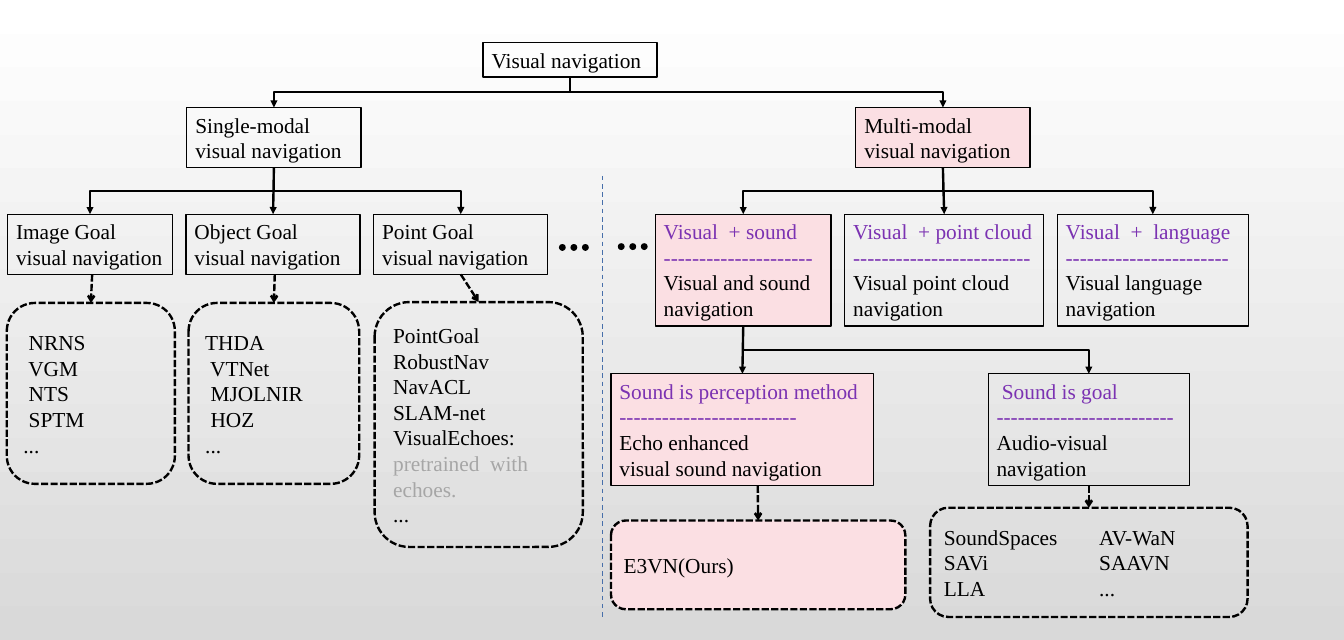
from lxml import etree
from pptx import Presentation
from pptx.dml.color import RGBColor
from pptx.enum.dml import MSO_LINE
from pptx.enum.shapes import MSO_CONNECTOR, MSO_SHAPE
from pptx.enum.text import MSO_ANCHOR, MSO_AUTO_SIZE, PP_ALIGN
from pptx.oxml.ns import qn
from pptx.util import Inches, Pt

RECTANGLE, ROUNDED, OVAL = MSO_SHAPE.RECTANGLE, MSO_SHAPE.ROUNDED_RECTANGLE, MSO_SHAPE.OVAL
STRAIGHT, ELBOW = MSO_CONNECTOR.STRAIGHT, MSO_CONNECTOR.ELBOW
SHORT_DASH, DASH = MSO_LINE.SQUARE_DOT, MSO_LINE.DASH
TOP, MIDDLE, LEFT = MSO_ANCHOR.TOP, MSO_ANCHOR.MIDDLE, PP_ALIGN.LEFT
NO_AUTOFIT = MSO_AUTO_SIZE.NONE

THEME = {
    "font": "Times New Roman", "size": 18, "thin": 1, "thick": 2,
    "ink": "000000", "heading": "7B32B2", "muted": "A6A6A6",
    "highlight": "FBDFE3", "divider": "476FAA",
    "background": ("FFFFFF", "D9D9D9"),
}

SLIDE_WIDTH, SLIDE_HEIGHT = 15.75, 7.5
ROW_TOPS = (0.5, 1.26, 2.51, 4.38)
LINE_HEIGHT, BOX_PADDING = 0.303, 0.1
HEADED_LINES = 4
TAB_STOP = 1.82
DIVIDER = (7.06, 2.06, 7.26)
DOT_SIZE, DOT_PITCH, DOTS_PER_GROUP = 0.08, 0.135, 3
DOT_GROUPS = ((6.55, 2.86), (7.24, 2.85))

# name: (row, left, width, highlighted, heading, rule length, body lines)
TOPICS = {
    "root": (0, 5.66, 2.04, False, None, 0, ["Visual navigation"]),
    "single": (1, 2.19, 2.04, False, None, 0, ["Single-modal", "visual navigation"]),
    "multi": (1, 10.03, 2.04, True, None, 0, ["Multi-modal", "visual navigation"]),
    "image": (2, 0.09, 1.93, False, None, 0, ["Image Goal", "visual navigation"]),
    "object": (2, 2.18, 2.04, False, None, 0, ["Object Goal", "visual navigation"]),
    "point": (2, 4.38, 2.04, False, None, 0, ["Point Goal", "visual navigation"]),
    "sound": (2, 7.68, 2.06, True, "Visual  + sound", 21, ["Visual and sound navigation"]),
    "cloud": (2, 9.9, 2.33, False, "Visual  + point cloud", 25, ["Visual point cloud navigation"]),
    "language": (2, 12.39, 2.24, False, "Visual  +  language", 23, ["Visual language navigation"]),
    "perception": (3, 7.16, 3.08, True, "Sound is perception method", 25,
                   ["Echo enhanced", "visual sound navigation"]),
    "goal": (3, 11.58, 2.36, False, " Sound is goal", 25, ["Audio-visual navigation"]),
}

BRANCHES = {
    "root": ("single", "multi"),
    "single": ("image", "object", "point"),
    "multi": ("sound", "cloud", "language"),
    "sound": ("perception", "goal"),
}

# parent: (left, top, width, height, highlighted, arrow start, lines)
METHODS = {
    "image": (0.08, 3.55, 1.97, 2.12, False, 1.08, [" NRNS", " VGM", " NTS", " SPTM", "..."]),
    "object": (2.21, 3.55, 2, 2.12, False, 3.22, ["THDA", " VTNet", " MJOLNIR", " HOZ", "..."]),
    "point": (4.39, 3.54, 2.44, 2.87, False, 5.4,
              ["PointGoal", "RobustNav", "NavACL", "SLAM-net",
               ("VisualEchoes: ", "pretrained  with echoes."), "..."]),
    "perception": (7.16, 6.1, 3.45, 1.04, True, 8.88, ["E3VN(Ours)"]),
    "goal": (10.9, 5.95, 3.72, 1.28, False, 12.76,
             ["SoundSpaces\tAV-WaN", "SAVi\tSAAVN", "LLA\t..."]),
}


def colour(name):
    return RGBColor.from_string(THEME[name])


def style_line(line, width, dash=None, ink="ink"):
    line.color.rgb = colour(ink)
    line.width = Pt(THEME[width])
    if dash:
        line.dash_style = dash


def style_box(shape, highlighted, width, dash=None):
    if highlighted:
        shape.fill.solid()
        shape.fill.fore_color.rgb = colour("highlight")
    else:
        shape.fill.background()
    style_line(shape.line, width, dash)


def add_tab_stop(paragraph):
    tabs = etree.SubElement(paragraph._p.get_or_add_pPr(), qn("a:tabLst"))
    etree.SubElement(tabs, qn("a:tab"), pos=str(Inches(TAB_STOP)), algn="l")


def write_lines(shape, lines, anchor):
    frame = shape.text_frame
    frame.word_wrap = True
    frame.auto_size = NO_AUTOFIT
    frame.vertical_anchor = anchor
    for index, pieces in enumerate(lines):
        paragraph = frame.paragraphs[0] if index == 0 else frame.add_paragraph()
        paragraph.alignment = LEFT
        for text, ink in pieces:
            run = paragraph.add_run()
            run.text = text
            run.font.name = THEME["font"]
            run.font.size = Pt(THEME["size"])
            run.font.color.rgb = colour(ink)
            if "\t" in text:
                add_tab_stop(paragraph)


def add_box(kind, left, top, width, height):
    shape = slide.shapes.add_shape(kind, *map(Inches, (left, top, width, height)))
    shape.shadow.inherit = False
    return shape


def topic_place(name):
    row, left, width, _, heading, _, body = TOPICS[name]
    lines = HEADED_LINES if heading else len(body)
    return left, ROW_TOPS[row], width, BOX_PADDING + LINE_HEIGHT * lines


def add_topic(name):
    _, _, _, highlighted, heading, rule, body = TOPICS[name]
    place = topic_place(name)
    if name == "root":
        shape = slide.shapes.title
        shape.left, shape.top, shape.width, shape.height = map(Inches, place)
    else:
        shape = add_box(RECTANGLE, *place)
    style_box(shape, highlighted, "thin")
    headings = [heading, "-" * rule] if heading else []
    lines = [[(text, "heading")] for text in headings] + [[(text, "ink")] for text in body]
    write_lines(shape, lines, TOP)


def add_methods(parent):
    left, top, width, height, highlighted, start, lines = METHODS[parent]
    shape = add_box(ROUNDED, left, top, width, height)
    style_box(shape, highlighted, "thick", SHORT_DASH)
    pieces = [list(zip(line, ("ink", "muted"))) if isinstance(line, tuple) else [(line, "ink")]
              for line in lines]
    write_lines(shape, pieces, MIDDLE)
    _, parent_top, _, parent_height = topic_place(parent)
    add_line((start, parent_top + parent_height), (left + width / 2, top),
             dash=SHORT_DASH, arrow="arrow")


def add_line(begin, end, kind=STRAIGHT, width="thick", dash=None, ink="ink", arrow=None):
    connector = slide.shapes.add_connector(kind, *map(Inches, (*begin, *end)))
    style_line(connector.line, width, dash, ink)
    properties = connector._element.spPr
    if arrow:
        etree.SubElement(properties.find(qn("a:ln")), qn("a:tailEnd"), type=arrow)
    etree.SubElement(properties, qn("a:effectLst"))
    return connector


def add_branch(parent, child):
    left, top, width, height = topic_place(parent)
    begin_x, begin_y = left + width / 2, top + height
    left, end_y, width, _ = topic_place(child)
    end_x = left + width / 2
    across, down = end_x - begin_x, end_y - begin_y
    if abs(across) < 0.1:
        add_line((begin_x, begin_y), (end_x, end_y), arrow="triangle")
        return
    middle_x, middle_y = (begin_x + end_x) / 2, (begin_y + end_y) / 2
    connector = add_line((middle_x - down / 2, middle_y + across / 2),
                         (middle_x + down / 2, middle_y - across / 2), ELBOW, arrow="triangle")
    connector._element.spPr.find(qn("a:xfrm")).set("rot", str(90 * 60000))


presentation = Presentation()
presentation.slide_width, presentation.slide_height = Inches(SLIDE_WIDTH), Inches(SLIDE_HEIGHT)
slide = presentation.slides.add_slide(presentation.slide_layouts[5])

backdrop = slide.background.fill
backdrop.gradient()
backdrop.gradient_angle = 270
for stop, value in zip(backdrop.gradient_stops, THEME["background"]):
    stop.color.rgb = RGBColor.from_string(value)

for topic in TOPICS:
    add_topic(topic)
for parent, children in BRANCHES.items():
    for child in children:
        add_branch(parent, child)
for parent in METHODS:
    add_methods(parent)

for left, top in DOT_GROUPS:
    for index in range(DOTS_PER_GROUP):
        dot = add_box(OVAL, left + index * DOT_PITCH, top, DOT_SIZE, DOT_SIZE)
        dot.fill.solid()
        dot.fill.fore_color.rgb = colour("ink")
        dot.line.fill.background()

divider_x, divider_top, divider_bottom = DIVIDER
add_line((divider_x, divider_top), (divider_x, divider_bottom),
         width="thin", dash=DASH, ink="divider")

presentation.save("out.pptx")
